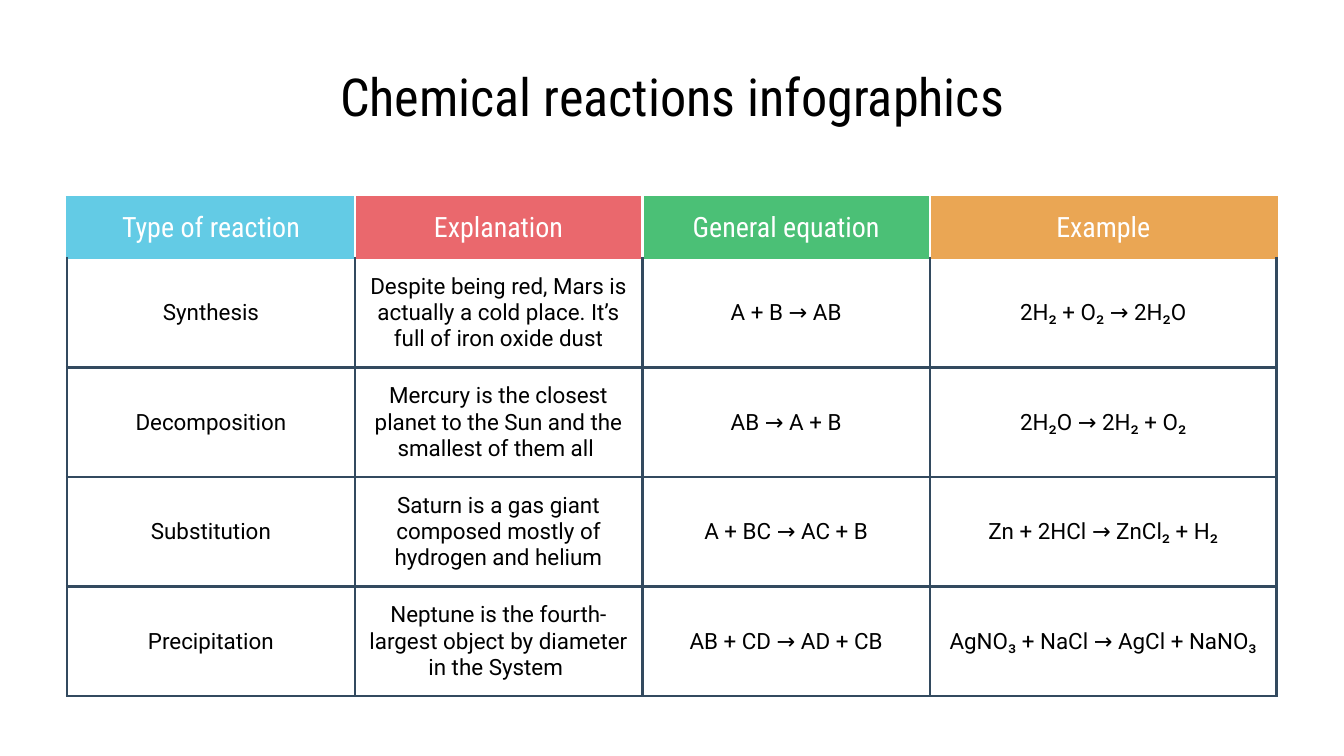
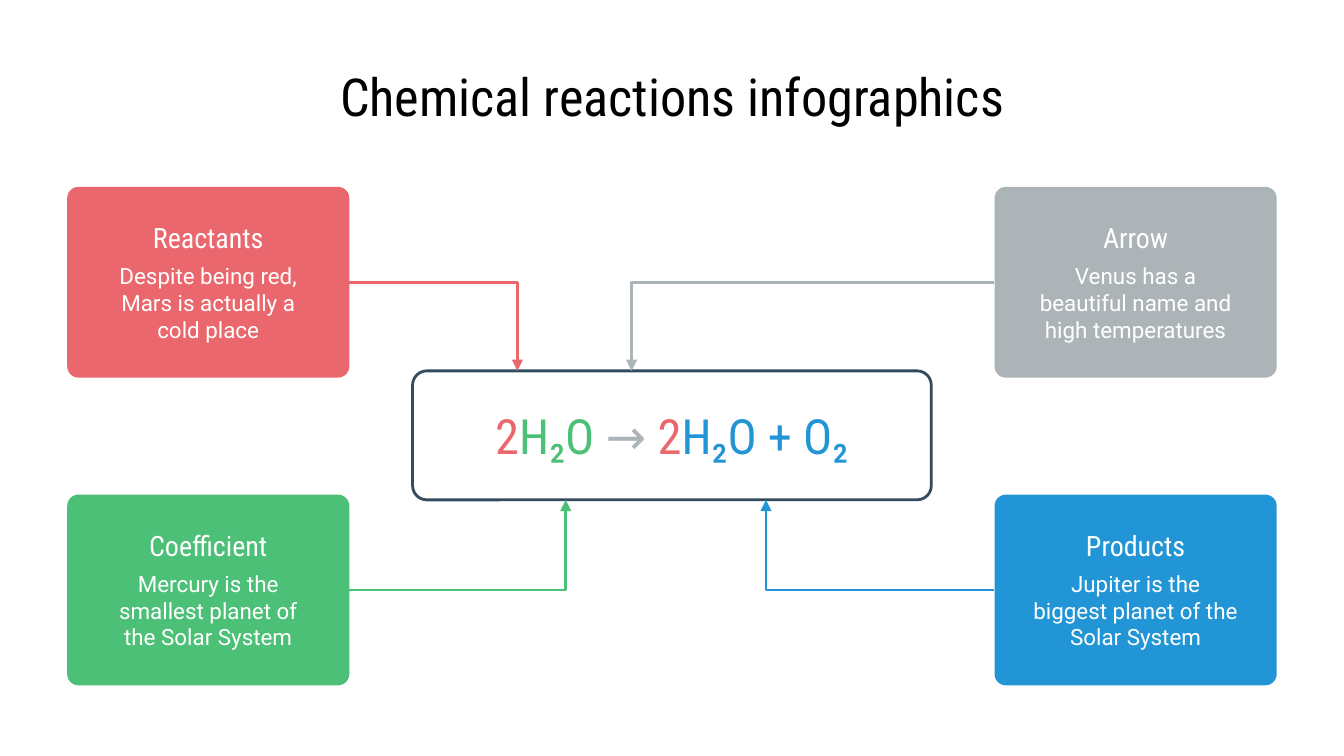
import pptx
import pptx.dml.color
import pptx.enum.shapes
import pptx.enum.text
import pptx.oxml.ns
import pptx.util
from dataclasses import dataclass
from lxml import etree

Inches = pptx.util.Inches
Shape = pptx.enum.shapes.MSO_SHAPE


@dataclass(frozen=True)
class Theme:
    black: str = "000000"
    white: str = "FFFFFF"
    navy: str = "334A5F"
    cyan: str = "63CBE5"
    red: str = "EA686D"
    green: str = "4BC076"
    orange: str = "EAA654"
    gray: str = "ACB4B7"
    blue: str = "2295D7"
    heading_font: str = "Roboto Condensed"
    body_font: str = "Roboto"
    title_size: int = 28
    equation_size: int = 26
    heading_size: int = 15
    body_size: int = 12
    line_width: float = 1.5


@dataclass(frozen=True)
class Box:
    left: float
    top: float
    width: float
    height: float

    def lengths(self):
        return [Inches(value) for value in (self.left, self.top, self.width, self.height)]

    def inner(self, left, top, width, height):
        return Box(self.left + left, self.top + top, width, height)


THEME = Theme()
SLIDE_WIDTH = 10
SLIDE_HEIGHT = SLIDE_WIDTH * 9 / 16
TITLE = "Chemical reactions infographics"
TITLE_BOX = Box(0.34, 0.45, 9.32, 0.53)

TABLE_BOX = Box(0.5, 1.47, 9, 3.7)
COLUMN_WIDTHS = [2.14, 2.14, 2.14, 2.58]
HEADER_HEIGHT = 0.44
COLUMNS = [
    ("Type of reaction", THEME.cyan),
    ("Explanation", THEME.red),
    ("General equation", THEME.green),
    ("Example", THEME.orange),
]
REACTIONS = [
    ("Synthesis",
     "Despite being red, Mars is actually a cold place. It’s full of iron oxide dust",
     "A + B → AB", "2H₂ + O₂ → 2H₂O"),
    ("Decomposition",
     "Mercury is the closest planet to the Sun and the smallest of them all ",
     "AB → A + B", "2H₂O → 2H₂ + O₂"),
    ("Substitution",
     "Saturn is a gas giant composed mostly of hydrogen and helium",
     "A + BC → AC + B", "Zn + 2HCl → ZnCl₂ + H₂"),
    ("Precipitation",
     "Neptune is the fourth-largest object by diameter in the System ",
     "AB + CD → AD + CB", "AgNO₃ + NaCl → AgCl + NaNO₃"),
]

DIAGRAM_BOX = Box(0.5, 1.39, 9, 3.71)
CARD_WIDTH, CARD_HEIGHT = 2.1, 1.42
EQUATION = [
    ("2", THEME.red), ("H₂O ", THEME.green), ("→", THEME.gray),
    (" 2", THEME.red), ("H₂O + O₂", THEME.blue),
]
# Heading, text, colour, right side?, lower row?, x of the arrowhead in the diagram
CARDS = [
    ("Reactants", "Despite being red, Mars is actually a cold place",
     THEME.red, False, False, 3.35),
    ("Coefficient", "Mercury is the smallest planet of the Solar System",
     THEME.green, False, True, 3.71),
    ("Arrow", "Venus has a beautiful name and high temperatures",
     THEME.gray, True, False, 4.2),
    ("Products", "Jupiter is the biggest planet of the Solar System",
     THEME.blue, True, True, 5.2),
]


def rgb(color):
    return pptx.dml.color.RGBColor.from_string(color)


def format_run(run, size, font, color):
    run.font.size = pptx.util.Pt(size)
    run.font.name = font
    run.font.color.rgb = rgb(color)


def write_centred(text_frame, text, size, font, color):
    text_frame.text = text
    paragraph = text_frame.paragraphs[0]
    paragraph.alignment = pptx.enum.text.PP_ALIGN.CENTER
    format_run(paragraph.runs[0], size, font, color)


def add_text(slide, box, text, size, font, color):
    text_frame = slide.shapes.add_textbox(*box.lengths()).text_frame
    text_frame.word_wrap = True
    text_frame.vertical_anchor = pptx.enum.text.MSO_ANCHOR.MIDDLE
    text_frame.margin_top = text_frame.margin_bottom = Inches(0.1)
    write_centred(text_frame, text, size, font, color)


def add_rounded_box(slide, box, rounding):
    shape = slide.shapes.add_shape(Shape.ROUNDED_RECTANGLE, *box.lengths())
    shape.adjustments[0] = rounding
    shape.shadow.inherit = False
    return shape


def add_titled_slide(presentation):
    slide = presentation.slides.add_slide(presentation.slide_layouts[6])
    add_text(slide, TITLE_BOX, TITLE, THEME.title_size, THEME.heading_font, THEME.black)
    return slide


def set_borders(cell, **colors):
    """Borders come before the fill, in the order left, right, top, bottom."""
    properties = cell._tc.get_or_add_tcPr()
    for index, side in enumerate(("left", "right", "top", "bottom")):
        line = etree.Element(pptx.oxml.ns.qn("a:ln" + side[0].upper()),
                             w=str(pptx.util.Pt(THEME.line_width)))
        fill = etree.SubElement(line, pptx.oxml.ns.qn("a:solidFill"))
        etree.SubElement(fill, pptx.oxml.ns.qn("a:srgbClr"), val=colors[side])
        properties.insert(index, line)


def fill_cell(cell, text, size, font, color):
    cell.vertical_anchor = pptx.enum.text.MSO_ANCHOR.MIDDLE
    cell.margin_left = cell.margin_right = Inches(0.1)
    cell.margin_top = cell.margin_bottom = Inches(0.1)
    write_centred(cell.text_frame, text, size, font, color)


def add_reaction_table(slide, box):
    table = slide.shapes.add_table(len(REACTIONS) + 1, len(COLUMNS), *box.lengths()).table
    table.first_row = table.horz_banding = False
    for column, width in zip(table.columns, COLUMN_WIDTHS):
        column.width = Inches(width)
    body_height = (box.height - HEADER_HEIGHT) / len(REACTIONS)
    for index, row in enumerate(table.rows):
        row.height = Inches(body_height if index else HEADER_HEIGHT)

    last = len(COLUMNS) - 1
    for column, (heading, color) in enumerate(COLUMNS):
        # Header
        cell = table.cell(0, column)
        fill_cell(cell, heading, THEME.heading_size, THEME.heading_font, THEME.white)
        cell.fill.solid()
        cell.fill.fore_color.rgb = rgb(color)
        set_borders(cell, top=color, bottom=color,
                    left=THEME.white if column else color,
                    right=THEME.white if column < last else color)
        # Body
        for row, reaction in enumerate(REACTIONS, start=1):
            cell = table.cell(row, column)
            fill_cell(cell, reaction[column], THEME.body_size, THEME.body_font, THEME.black)
            cell.fill.background()
            set_borders(cell, left=THEME.navy, right=THEME.navy, bottom=THEME.navy,
                        top=color if row == 1 else THEME.navy)


def add_equation(slide, box):
    shape = add_rounded_box(slide, box, 0.11)
    shape.fill.background()
    shape.line.color.rgb = rgb(THEME.navy)
    shape.line.width = pptx.util.Pt(THEME.line_width)
    text_frame = shape.text_frame
    text_frame.word_wrap = True
    text_frame.vertical_anchor = pptx.enum.text.MSO_ANCHOR.MIDDLE
    paragraph = text_frame.paragraphs[0]
    paragraph.alignment = pptx.enum.text.PP_ALIGN.CENTER
    for text, color in EQUATION:
        run = paragraph.add_run()
        run.text = text
        format_run(run, THEME.equation_size, THEME.heading_font, color)


def add_card(slide, box, heading, text, color):
    shape = add_rounded_box(slide, box, 0.06)
    shape.fill.solid()
    shape.fill.fore_color.rgb = rgb(color)
    shape.line.fill.background()
    text_width = 1.73
    text_left = (box.width - text_width) / 2
    add_text(slide, box.inner(text_left, 0.23, text_width, 0.29), heading,
             THEME.heading_size, THEME.heading_font, THEME.white)
    add_text(slide, box.inner(text_left, 0.5, text_width, 0.72), text,
             THEME.body_size, THEME.body_font, THEME.white)


def add_elbow_arrow(slide, start, end, color):
    """Runs sideways first, then straight up or down to the arrowhead."""
    connector = slide.shapes.add_connector(
        pptx.enum.shapes.MSO_CONNECTOR.ELBOW,
        *[Inches(value) for value in (*start, *end)])
    connector.line.color.rgb = rgb(color)
    connector.line.width = pptx.util.Pt(THEME.line_width)
    qualified = pptx.oxml.ns.qn
    properties = connector._element.spPr
    etree.SubElement(properties.find(qualified("a:ln")), qualified("a:tailEnd"), type="triangle")
    etree.SubElement(properties, qualified("a:effectLst"))
    adjustments = properties.find(qualified("a:prstGeom")).find(qualified("a:avLst"))
    etree.SubElement(adjustments, qualified("a:gd"), name="adj1", fmla="val 100000")


def add_reaction_diagram(slide, box):
    equation_box = box.inner(2.57, 1.37, 3.86, 0.96)
    add_equation(slide, equation_box)
    for heading, text, color, is_right, is_lower, arrow_x in CARDS:
        card = box.inner(is_right * (box.width - CARD_WIDTH),
                         is_lower * (box.height - CARD_HEIGHT), CARD_WIDTH, CARD_HEIGHT)
        add_card(slide, card, heading, text, color)
        start = (card.left + (0 if is_right else card.width), card.top + card.height / 2)
        end = (box.left + arrow_x, equation_box.top + is_lower * equation_box.height)
        add_elbow_arrow(slide, start, end, color)


def main():
    presentation = pptx.Presentation()
    presentation.slide_width = Inches(SLIDE_WIDTH)
    presentation.slide_height = Inches(SLIDE_HEIGHT)
    add_reaction_table(add_titled_slide(presentation), TABLE_BOX)
    add_reaction_diagram(add_titled_slide(presentation), DIAGRAM_BOX)
    presentation.save("out.pptx")


if __name__ == "__main__":
    main()
